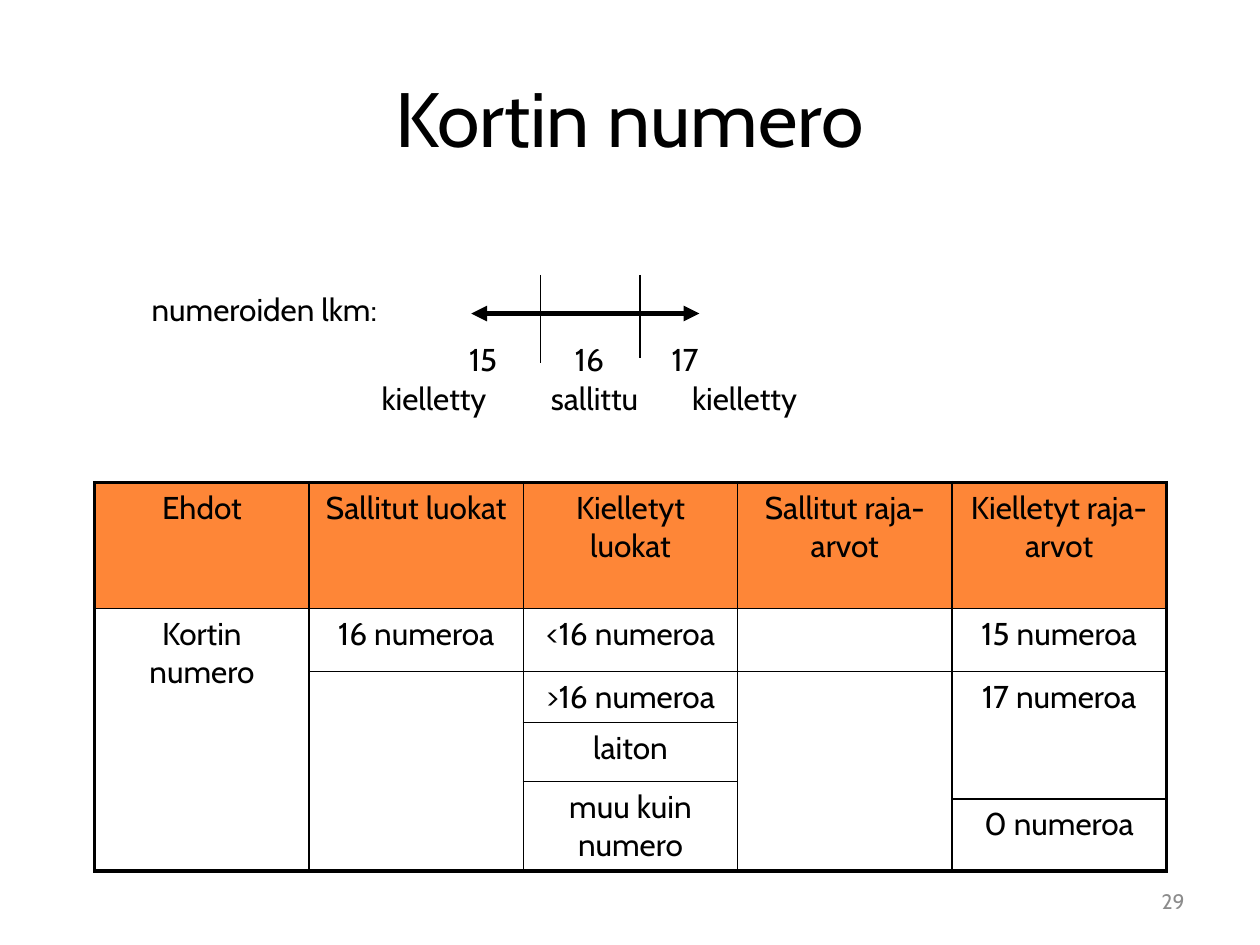
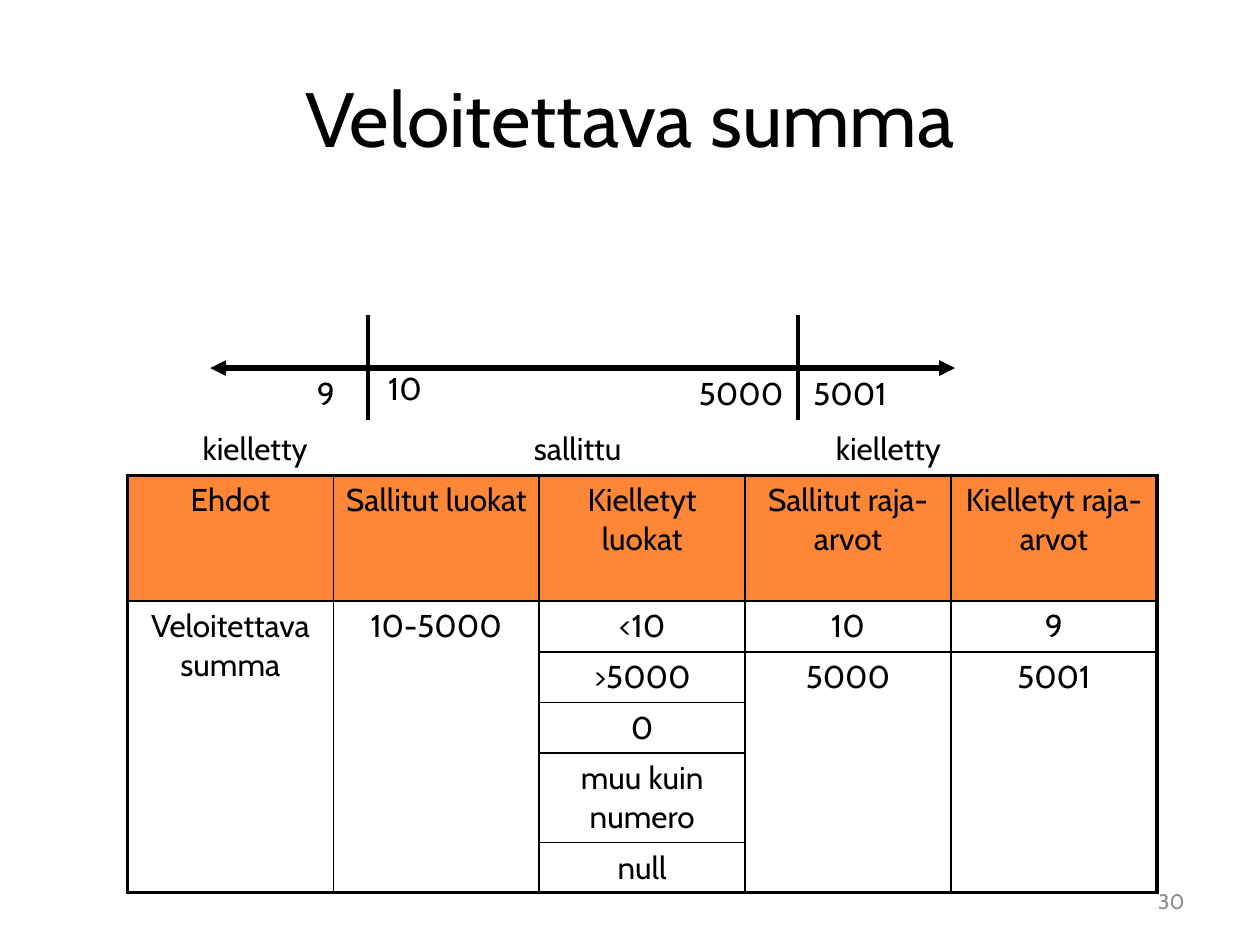
"""Build two slides of boundary-value analysis: a number line and a class table each."""
import pptx
import pptx.dml.color
import pptx.enum.shapes
import pptx.enum.text
import pptx.oxml.ns
import pptx.util
from lxml import etree

Cm, Pt = pptx.util.Cm, pptx.util.Pt
RGB = pptx.dml.color.RGBColor.from_string
qn = pptx.oxml.ns.qn
ALIGN = pptx.enum.text.PP_ALIGN
ANCHOR = pptx.enum.text.MSO_ANCHOR
FONT = "Cabin"
COLORS = {"ink": "000000", "header": "FE8637", "number": "8C8C8C"}
THIN, THICK = 1, 2.25
HEADINGS = ["Ehdot", "Sallitut luokat", "Kielletyt luokat",
            "Sallitut raja-arvot", "Kielletyt raja-arvot"]

# Axis is (x1, x2, y), ticks are (x, y1, y2), labels are (text, x, y, width).
# In a table row, None continues the cell above it.
SLIDES = [
    {
        "title": "Kortin numero", "number": "29",
        "axis": (9.5, 14.1, 6.32),
        "ticks": [(10.9, 5.54, 7.32), (12.9, 5.54, 7.21)], "tick_width": 0.75,
        "labels": [("numeroiden lkm:", 2.69, 5.72, 5.28),
                   ("15", 9.09, 6.73, 1.3), ("16", 11.1, 6.73, 1.57), ("17", 13.11, 6.73, 1.4),
                   ("kielletty", 6.91, 7.52, 3.68), ("sallittu", 10.69, 7.52, 2.59),
                   ("kielletty", 13.31, 7.52, 3.4)],
        "table_at": (1.91, 9.73), "col": 4.32,
        "heights": [2.54, 1.27, 1.02, 1.19, 0.36, 1.45],
        "rows": [["Kortin numero", "16 numeroa", "<16 numeroa", "", "15 numeroa"],
                 [None, "", ">16 numeroa", "", "17 numeroa"],
                 [None, None, "laiton", None, None],
                 [None, None, "muu kuin numero", None, None],
                 [None, None, None, None, "0 numeroa"]],
    },
    {
        "title": "Veloitettava summa", "number": "30",
        "axis": (4.24, 19.25, 7.42),
        "ticks": [(7.42, 6.35, 8.46), (16.08, 6.35, 8.46)], "tick_width": 2.25,
        "labels": [("9", 5.72, 7.42, 1.7), ("10", 7.11, 7.32, 2.11),
                   ("5000", 13.77, 7.42, 2.34), ("5001", 16.08, 7.42, 2.11),
                   ("kielletty", 3.1, 8.53, 4.09), ("sallittu", 9.32, 8.53, 4.65),
                   ("kielletty", 16.31, 8.53, 3.2)],
        "table_at": (2.57, 9.58), "col": 4.15,
        "heights": [2.54, 1.02, 1.02, 1.02, 1.8, 1],
        "rows": [["Veloitettava summa", "10-5000", "<10", "10", "9"],
                 [None, None, ">5000", "5000", "5001"],
                 [None, None, "0", None, None],
                 [None, None, "muu kuin numero", None, None],
                 [None, None, "null", None, None]],
    },
]


def write(tf, text, size=18, color="ink", align=ALIGN.CENTER):
    tf.word_wrap = True
    p = tf.paragraphs[0]
    p.text = text
    p.alignment = align
    p.font.name, p.font.size = FONT, Pt(size)
    p.font.color.rgb = RGB(COLORS[color])


def add_line(s, x1, y1, x2, y2, width, arrows=False):
    line = s.shapes.add_connector(pptx.enum.shapes.MSO_CONNECTOR.STRAIGHT,
                                  Cm(x1), Cm(y1), Cm(x2), Cm(y2))
    line.line.width = Pt(width)
    line.line.color.rgb = RGB(COLORS["ink"])
    if arrows:
        for end in ("a:headEnd", "a:tailEnd"):
            etree.SubElement(line.line._get_or_add_ln(), qn(end), type="triangle")
    etree.SubElement(line._element.spPr, qn("a:effectLst"))


prs = pptx.Presentation()
prs.slide_width, prs.slide_height = Cm(25.4), Cm(19.05)

for data in SLIDES:
    s = prs.slides.add_slide(prs.slide_layouts[5])
    title = s.shapes.title
    title.left, title.top, title.width, title.height = Cm(1.27), Cm(0.76), Cm(22.86), Cm(3.18)
    title.text_frame.vertical_anchor = ANCHOR.MIDDLE
    write(title.text_frame, data["title"], 44)

    number = s.shapes.add_textbox(Cm(18.2), Cm(17.65), Cm(5.93), Cm(1.02))
    number.text_frame.vertical_anchor = ANCHOR.MIDDLE
    write(number.text_frame, data["number"], 12, "number", ALIGN.RIGHT)

    x1, x2, y = data["axis"]
    add_line(s, x1, y, x2, y, 3, arrows=True)
    for x, y1, y2 in data["ticks"]:
        add_line(s, x, y1, x, y2, data["tick_width"])
    for text, x, y, width in data["labels"]:
        label = s.shapes.add_textbox(Cm(x), Cm(y), Cm(width), Cm(1.02))
        write(label.text_frame, text)
        label.text_frame.auto_size = pptx.enum.text.MSO_AUTO_SIZE.SHAPE_TO_FIT_TEXT

    rows = [HEADINGS] + data["rows"]
    n_rows, n_cols = len(rows), len(HEADINGS)
    left, top = data["table_at"]
    table = s.shapes.add_table(n_rows, n_cols, Cm(left), Cm(top), Cm(data["col"] * n_cols),
                               Cm(sum(data["heights"]))).table
    table.horz_banding = table.first_row = False
    for col in table.columns:
        col.width = Cm(data["col"])
    for row, height in zip(table.rows, data["heights"]):
        row.height = Cm(height)

    for r, row in enumerate(rows):
        for c, text in enumerate(row):
            cell = table.cell(r, c)
            end = r + 1
            while text is not None and end < n_rows and rows[end][c] is None:
                end += 1
            if end > r + 1:
                cell.merge(table.cell(end - 1, c))
            if text:
                write(cell.text_frame, text)
            outer = {"L": c == 0, "R": c == n_cols - 1, "T": r == 0, "B": end == n_rows}
            tcPr = cell._tc.get_or_add_tcPr()
            for side, is_outer in outer.items():
                ln = etree.SubElement(tcPr, qn("a:ln" + side),
                                      w=str(Pt(THICK if is_outer else THIN)))
                fill = etree.SubElement(ln, qn("a:solidFill"))
                etree.SubElement(fill, qn("a:srgbClr"), val=COLORS["ink"])
            if r == 0:
                cell.fill.solid()
                cell.fill.fore_color.rgb = RGB(COLORS["header"])
            else:
                cell.fill.background()

prs.save("out.pptx")
